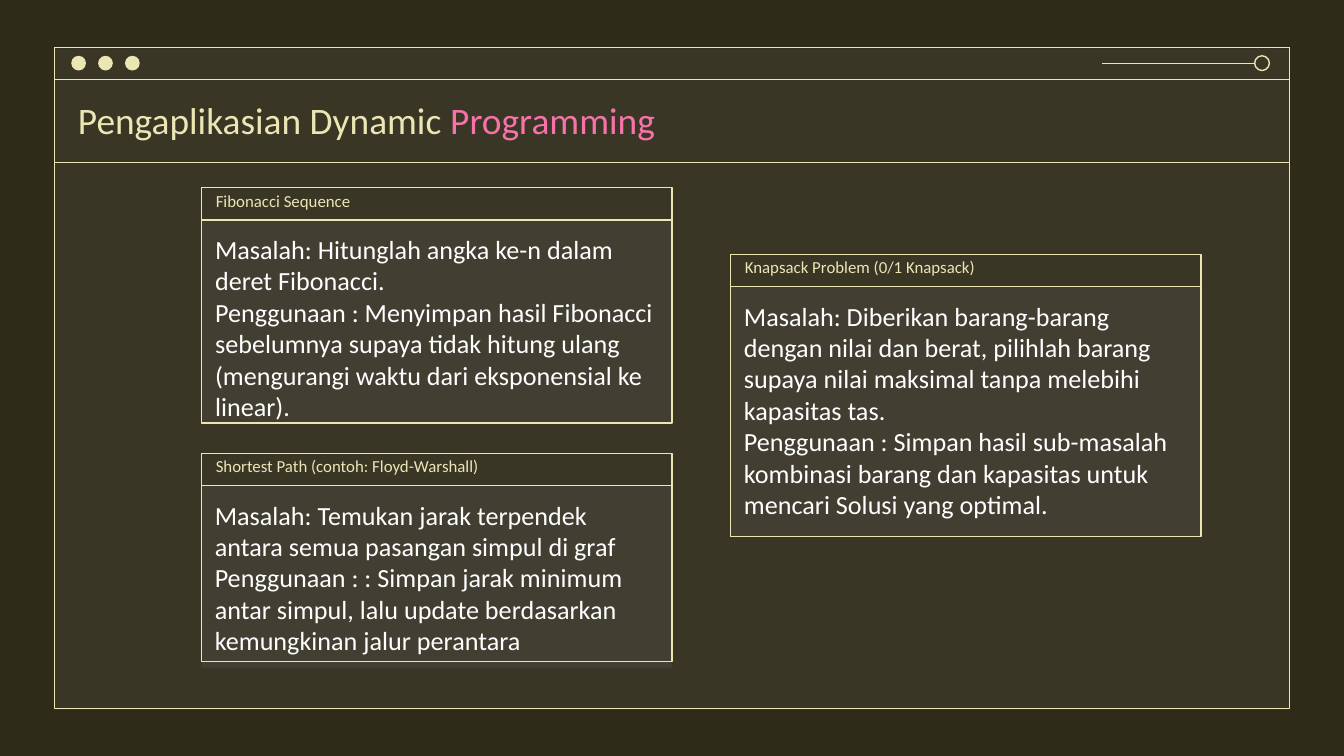
"""Build the slide on uses of dynamic programming as a retro window with three cards."""
from lxml import etree
from pptx import Presentation
from pptx import util as u
from pptx.dml.color import RGBColor
from pptx.enum import shapes, text
from pptx.oxml.ns import qn

HUES = {"back": "2F2B19", "cream": "ECE5B4", "pink": "F673A9", "haze": "7C7C7C", "white": "FFFFFF"}
BAR = 2.4
WIDE = 35

deck = Presentation()
deck.slide_width = u.Inches(10)
deck.slide_height = deck.slide_width * 9 // 16
cell = deck.slide_width / 100
slide = deck.slides.add_slide(deck.slide_layouts[0])
slide.background.fill.solid()
slide.background.fill.fore_color.rgb = RGBColor.from_string(HUES["back"])
title, body = slide.placeholders


def draw(kind, box, fill=None, alpha=100):
    """Add a shape on the grid: filled without a line, or outlined in cream."""
    shape = slide.shapes.add_shape(kind, *[round(n * cell) for n in box])
    shape.shadow.inherit = False
    if fill:
        shape.fill.solid()
        shape.fill.fore_color.rgb = RGBColor.from_string(HUES[fill])
        shape.line.fill.background()
        tint = shape.fill._xPr.find(".//" + qn("a:srgbClr"))
        etree.SubElement(tint, qn("a:alpha")).set("val", str(alpha * 1000))
    else:
        shape.fill.background()
        shape.line.color.rgb = RGBColor.from_string(HUES["cream"])
        shape.line.width = u.Pt(0.75)
    return shape


def write(shape, box, lines, size, hue, anchor):
    """Place a shape on the grid, bring it to the front and set its text."""
    shape.left, shape.top, shape.width, shape.height = [round(n * cell) for n in box]
    shape.element.getparent().append(shape.element)
    frame = shape.text_frame
    frame.text = "\n".join(lines)
    frame.word_wrap = True
    frame.auto_size = text.MSO_AUTO_SIZE.NONE
    frame.vertical_anchor = anchor
    frame.margin_left = frame.margin_right = frame.margin_top = frame.margin_bottom = u.Inches(0.1)
    for para in frame.paragraphs:
        para.alignment = text.PP_ALIGN.LEFT
        para.space_before = u.Pt(0)
        for run in para.runs:
            run.font.name, run.font.size = "Calibri", u.Pt(size)
            run.font.color.rgb = RGBColor.from_string(HUES[hue])
    return frame


RECT, DOT = shapes.MSO_SHAPE.RECTANGLE, shapes.MSO_SHAPE.OVAL
MID, TOP = text.MSO_ANCHOR.MIDDLE, text.MSO_ANCHOR.TOP

draw(RECT, (4.1, 3.6, 91.8, 49.2), "haze", 14)
for tall in (49.2, BAR):
    draw(RECT, (4.05, 3.52, 91.9, tall))
for step in range(3):
    draw(DOT, (5.3 + 2 * step, 4.15, 1.1, 1.1), "cream")
draw(DOT, (93.35, 4.15, 1.1, 1.1))
for left, right, row in ((82, 93.4, 4.72), (4.1, 95.9, 12.1)):
    ends = [round(n * cell) for n in (left, row, right, row)]
    rule = slide.shapes.add_connector(shapes.MSO_CONNECTOR.STRAIGHT, *ends)
    rule.line.color.rgb = RGBColor.from_string(HUES["cream"])
    rule.line.width = u.Pt(0.75)
    etree.SubElement(rule.element.spPr, qn("a:effectLst"))

head = write(title, (4.8, 6.55, 95.2, 4.7), ["Pengaplikasian Dynamic "], 20, "cream", MID)
word = head.paragraphs[0].add_run()
word.text = "Programming"
word.font.name, word.font.size = "Calibri", u.Pt(20)
word.font.color.rgb = RGBColor.from_string(HUES["pink"])

cards = [
    (15, 13.97, 15.1, 15.1, "Fibonacci Sequence", [
        "Masalah: Hitunglah angka ke-n dalam deret Fibonacci.",
        "Penggunaan : Menyimpan hasil Fibonacci sebelumnya supaya tidak hitung ulang "
        "(mengurangi waktu dari eksponensial ke linear)."]),
    (54.37, 18.93, 18.6, 18.6, "Knapsack Problem (0/1 Knapsack)", [
        "Masalah: Diberikan barang-barang dengan nilai dan berat, pilihlah barang "
        "supaya nilai maksimal tanpa melebihi kapasitas tas.",
        "Penggunaan : Simpan hasil sub-masalah kombinasi barang dan kapasitas untuk "
        "mencari Solusi yang optimal."]),
    (15, 33.73, 13.1, 13.6, "Shortest Path (contoh: Floyd-Warshall)", [
        "Masalah: Temukan jarak terpendek antara semua pasangan simpul di graf "
        "Penggunaan : : Simpan jarak minimum antar simpul, lalu update berdasarkan "
        "kemungkinan jalur perantara"]),
]
for left, top, tall, shade, name, lines in cards:
    draw(RECT, (left, top + BAR, WIDE, shade), "haze", 14)
    box = (left, top + BAR, WIDE, tall)
    panel = body if name.startswith("Fibonacci") else draw(RECT, box)
    write(panel, box, lines, 14, "white", TOP)
    panel.line.color.rgb = RGBColor.from_string(HUES["cream"])
    panel.line.width = u.Pt(0.75)
    label = slide.shapes.add_textbox(0, 0, 0, 0)
    write(label, (left + 0.07, top, WIDE - 0.1, 1.9), [name], 9, "cream", MID)
    draw(RECT, (left, top, WIDE, BAR))

deck.save("out.pptx")
